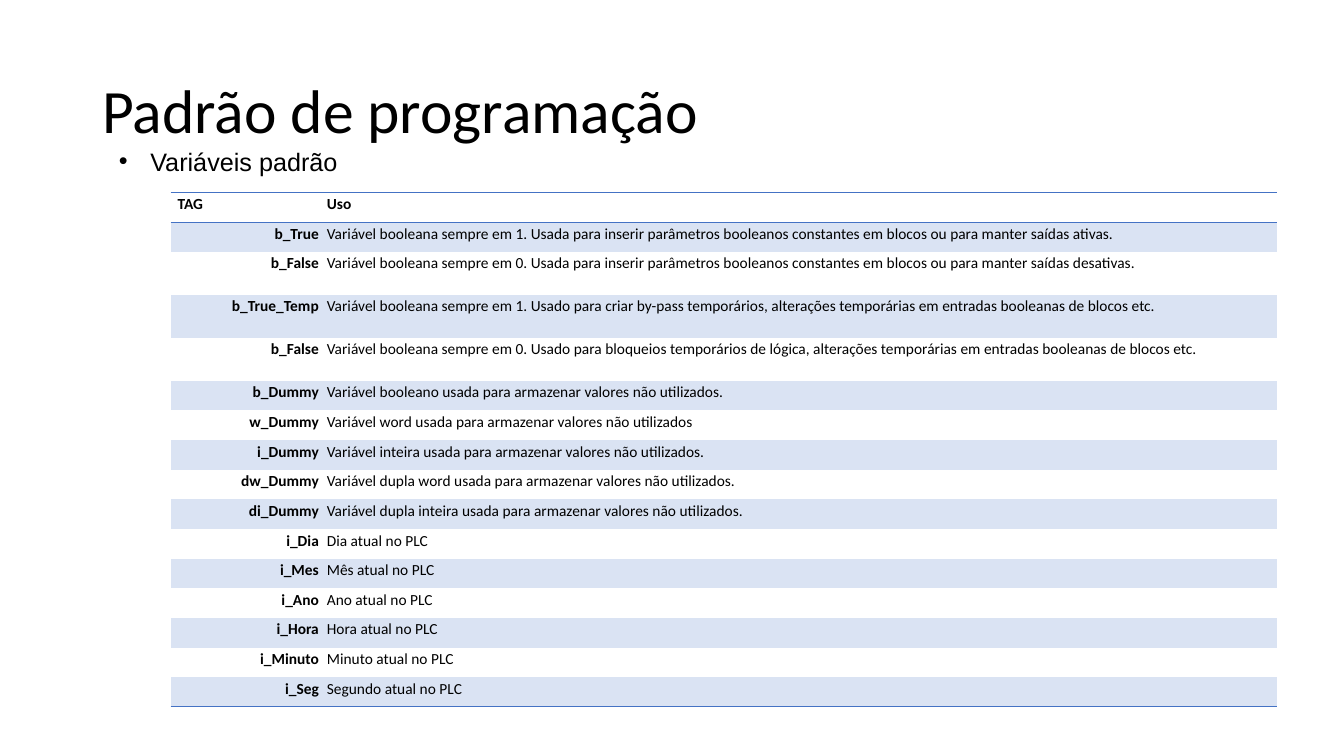
from dataclasses import dataclass

from lxml.etree import SubElement
from pptx import Presentation
from pptx.dml.color import RGBColor
from pptx.enum.text import MSO_ANCHOR, PP_ALIGN
from pptx.oxml.ns import qn
from pptx.slide import Slide
from pptx.table import _Cell as Cell
from pptx.text.text import _Paragraph as Para
from pptx.util import Pt

BLACK, BLUE, BAND = "000000", "4472C4", "DAE3F3"
PLAIN_STYLE = "{2D5ABB26-0587-4C30-8999-92F81FD0307C}"
LOW, TALL = 21.2, 30.7


@dataclass
class Label:
    text: str
    left: float
    top: float
    width: float
    height: float
    size: float
    font: str


@dataclass
class Entry:
    tag: str
    use: str
    height: float = LOW


TITLE = Label("Padrão de programação", 66, 28.8, 452, 104.4, 44, "Calibri")
POINT = Label("Variáveis padrão", 77.8, 100.8, 520.5, 29, 18, "Arial")

ENTRIES = [
    Entry("TAG", "Uso"),
    Entry("b_True", "Variável booleana sempre em 1. Usada para inserir parâmetros "
          "booleanos constantes em blocos ou para manter saídas ativas."),
    Entry("b_False", "Variável booleana sempre em 0. Usada para inserir parâmetros "
          "booleanos constantes em blocos ou para manter saídas desativas.", TALL),
    Entry("b_True_Temp", "Variável booleana sempre em 1. Usado para criar by-pass "
          "temporários, alterações temporárias em entradas booleanas de blocos etc.", TALL),
    Entry("b_False", "Variável booleana sempre em 0. Usado para bloqueios temporários "
          "de lógica, alterações temporárias em entradas booleanas de blocos etc.", TALL),
    Entry("b_Dummy", "Variável booleano usada para armazenar valores não utilizados."),
    Entry("w_Dummy", "Variável word usada para armazenar valores não utilizados"),
    Entry("i_Dummy", "Variável inteira usada para armazenar valores não utilizados."),
    Entry("dw_Dummy", "Variável dupla word usada para armazenar valores não utilizados."),
    Entry("di_Dummy", "Variável dupla inteira usada para armazenar valores não utilizados."),
    Entry("i_Dia", "Dia atual no PLC"),
    Entry("i_Mes", "Mês atual no PLC"),
    Entry("i_Ano", "Ano atual no PLC"),
    Entry("i_Hora", "Hora atual no PLC"),
    Entry("i_Minuto", "Minuto atual no PLC"),
    Entry("i_Seg", "Segundo atual no PLC"),
]


def color(code: str) -> RGBColor:
    return RGBColor.from_string(code)


def style(para: Para, size: float, font: str, bold: bool = False) -> None:
    for run in para.runs:
        run.font.size = Pt(size)
        run.font.name = font
        run.font.bold = bold
        run.font.color.rgb = color(BLACK)


def add_label(slide: Slide, label: Label, anchor: MSO_ANCHOR) -> Para:
    box = slide.shapes.add_textbox(
        Pt(label.left), Pt(label.top), Pt(label.width), Pt(label.height))
    frame = box.text_frame
    frame.word_wrap = True
    frame.vertical_anchor = anchor
    frame.text = label.text
    para = frame.paragraphs[0]
    style(para, label.size, label.font)
    return para


def add_bullet(para: Para, indent: float) -> None:
    props = para._p.get_or_add_pPr()
    props.set("marL", str(Pt(indent)))
    props.set("indent", str(-Pt(indent)))
    SubElement(props, qn("a:buFont"), typeface="Arial")
    SubElement(props, qn("a:buChar"), char="•")


def add_edge(cell: Cell, side: str) -> None:
    line = SubElement(cell._tc.get_or_add_tcPr(), qn(f"a:{side}"), w=str(Pt(1)))
    fill = SubElement(line, qn("a:solidFill"))
    SubElement(fill, qn("a:srgbClr"), val=BLUE)


def fill_cell(cell: Cell, text: str, row: int, col: int) -> None:
    cell.margin_left, cell.margin_right = Pt(5), Pt(0.7)
    cell.margin_top, cell.margin_bottom = Pt(0.7), Pt(0)
    cell.text_frame.text = text
    para = cell.text_frame.paragraphs[0]
    para.line_spacing = 1.07
    para.alignment = PP_ALIGN.RIGHT if row and not col else PP_ALIGN.LEFT
    style(para, 11, "Calibri", bold=row == 0 or col == 0)
    # Rules above and below the header, and under the last row
    if row == 0:
        add_edge(cell, "lnT")
    if row in (0, len(ENTRIES) - 1):
        add_edge(cell, "lnB")
    # Bands on odd rows
    if row % 2:
        cell.fill.solid()
        cell.fill.fore_color.rgb = color(BAND)
    else:
        cell.fill.background()


def add_grid(slide: Slide) -> None:
    widths = (106.6, 684)
    total = sum(entry.height for entry in ENTRIES)
    frame = slide.shapes.add_table(
        len(ENTRIES), len(widths), Pt(121.9), Pt(137.5), Pt(sum(widths)), Pt(total))
    frame.element.find(".//" + qn("a:tableStyleId")).text = PLAIN_STYLE
    table = frame.table
    table.horz_banding = False
    for column, width in zip(table.columns, widths):
        column.width = Pt(width)
    for row, entry in enumerate(ENTRIES):
        table.rows[row].height = Pt(entry.height)
        for col, text in enumerate((entry.tag, entry.use)):
            fill_cell(table.cell(row, col), text, row, col)


def main() -> None:
    deck = Presentation()
    deck.slide_width, deck.slide_height = Pt(960), Pt(540)
    slide = deck.slides.add_slide(deck.slide_layouts[6])

    # Title and bullet
    add_label(slide, TITLE, MSO_ANCHOR.MIDDLE).line_spacing = 0.9
    add_bullet(add_label(slide, POINT, MSO_ANCHOR.TOP), 22.5)

    # Table of variables
    add_grid(slide)
    deck.save("out.pptx")


if __name__ == "__main__":
    main()
